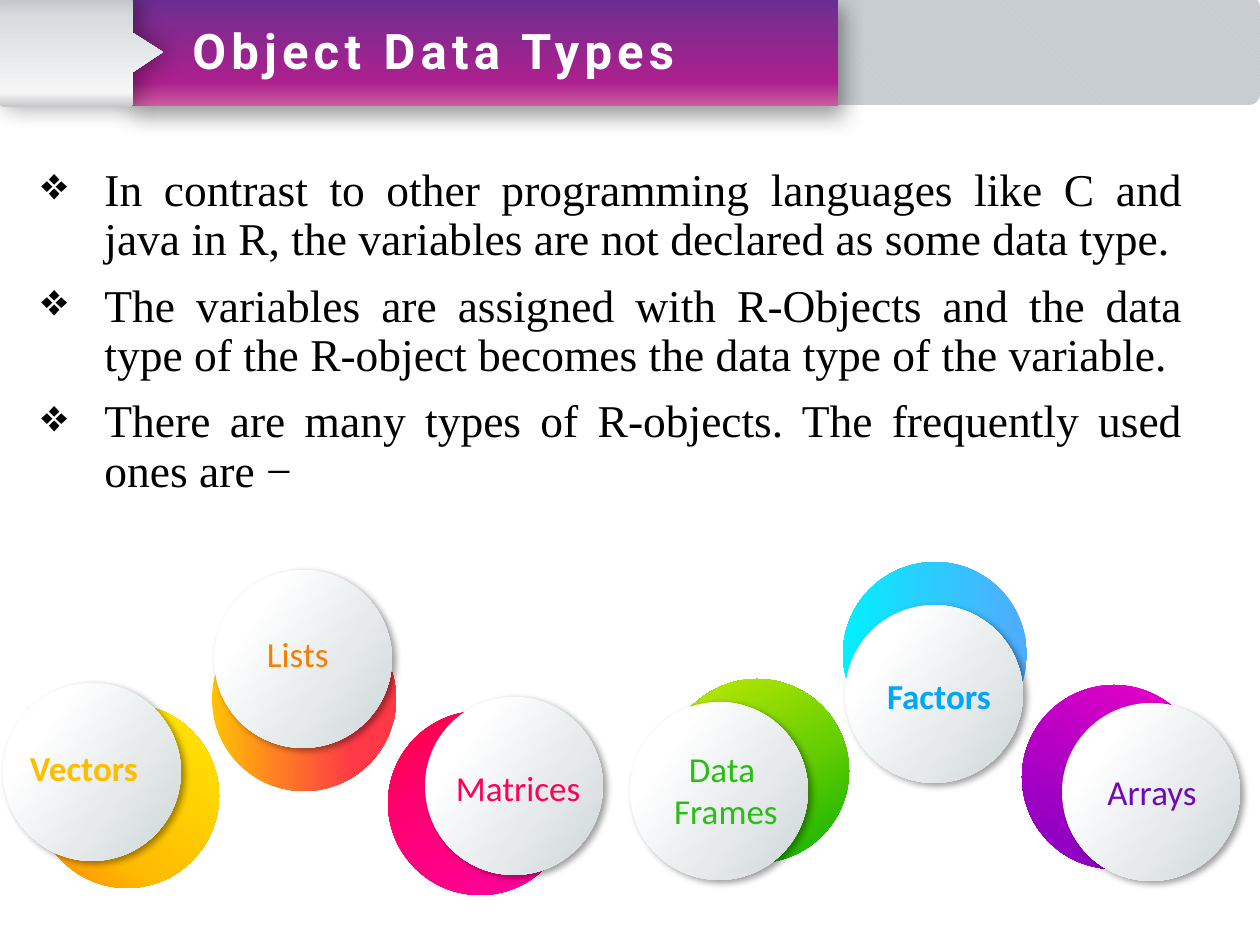
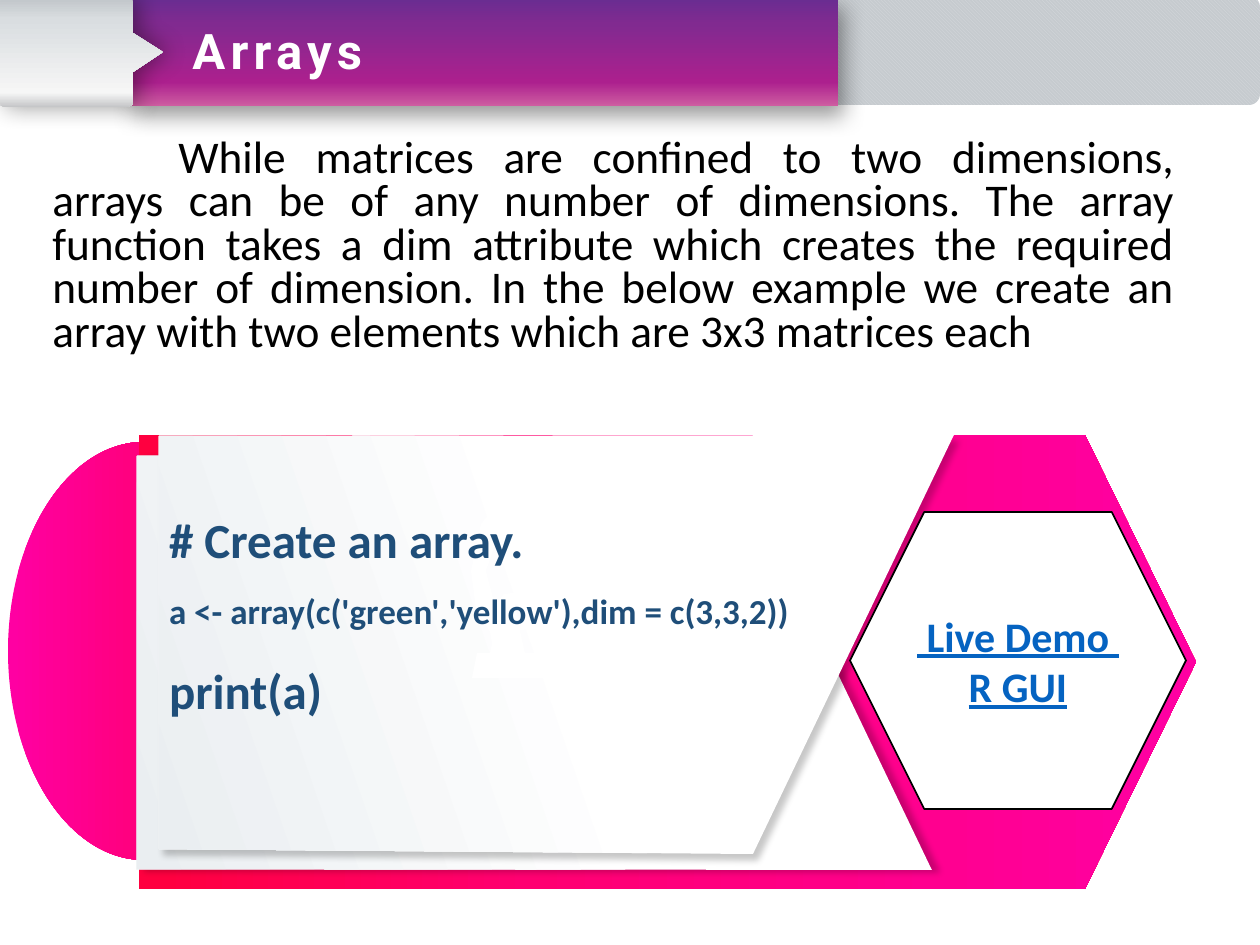
from math import cos, sin, radians

from lxml.etree import SubElement
from pptx import Presentation
from pptx.dml.color import RGBColor
from pptx.enum.dml import MSO_PATTERN
from pptx.enum.shapes import MSO_SHAPE as SHAPE
from pptx.enum.text import MSO_ANCHOR as ANCHOR, PP_ALIGN as ALIGN
from pptx.oxml.ns import qn
from pptx.util import Emu, Pt

SCALE = 914400 / 126
WIDTH, HEIGHT = 1260, 945

COLOURS = {
    "black": "000000", "white": "FFFFFF", "code": "1F4E79", "link": "0563C1",
    "strip_light": "D8DBDE", "strip_dark": "C6CBCF",
    "lists": "F77F00", "matrices": "FF0054", "arrays": "7209B7",
    "factors": "00A6FB", "frames": "29BF12", "vectors": "FFBD00",
}
# Each gradient is a list of (position in percent, colour).
GRADIENTS = {
    "band": [(0, "682D91"), (25, "812A90"), (78, "AC208E"), (100, "CE5DA1")],
    "tab": [(0, "BFC4C8"), (20, "D9DDE0"), (87, "F6F6F6"), (100, "C5C6C8")],
    "ball": [(23, "FFFFFF"), (63, "E6EAEB"), (100, "CDD5D8")],
    "panel": [(0, "FFFFFF"), (48, "FFFFFF"), (100, "EAEEF1")],
    "lists": [(0, "FFC203"), (37, "FF7D25"), (77, "FF3847")],
    "matrices": [(2, "FF0040"), (37, "FF0071"), (99, "FF00A2")],
    "arrays": [(0, "F000C6"), (47, "B800C4"), (100, "8000C2")],
    "factors": [(2, "4FACFE"), (58, "28CFFE"), (100, "00F2FE")],
    "frames": [(0, "0CB100"), (47, "67CE02"), (99, "C3EA03")],
    "vectors": [(2, "FF8A00"), (29, "FFBA02"), (100, "FFEA03")],
    "cap": [(1, "FF00A2"), (63, "FF0071"), (98, "FF0040")],
}

DISC, BALL = 184, 178
# name, lines, bold, align, disc corner, gradient angle, ball corner,
# label box relative to the ball
BUBBLES = [
    ("lists", ["Lists"], False, ALIGN.LEFT, (212, 607), 0, (214, 570), (47, 56, 110, 55)),
    ("matrices", ["Matrices"], False, ALIGN.LEFT, (388, 711), 59, (425, 697), (25, 63, 152, 55)),
    ("arrays", ["Arrays"], False, ALIGN.CENTER, (1022, 685), 118, (1062, 703), (24, 61, 132, 55)),
    ("factors", ["Factors"], True, ALIGN.CENTER, (843, 562), 180, (845, 605), (18, 63, 152, 55)),
    ("frames", ["Data ", "Frames"], False, ALIGN.CENTER, (665, 679), 242, (630, 702),
     (19, 39, 154, 97)),
    ("vectors", ["Vectors"], True, ALIGN.LEFT, (35, 704), 307, (3, 683), (21, 57, 151, 55)),
]

OBJECT_POINTS = [
    "In contrast to other programming languages like C and java in R, "
    "the variables are not declared as some data type. ",
    "The variables are assigned with R-Objects and the data type of the "
    "R-object becomes the data type of the variable. ",
    "There are many types of R-objects. The frequently used ones are −",
]
ARRAY_TEXT = (
    "While matrices are confined to two dimensions, arrays can be of any number "
    "of dimensions. The array function takes a dim attribute which creates the "
    "required number of dimension. In the below example we create an array with "
    "two elements which are 3x3 matrices each"
)
CODE_LINES = [
    ("# Create an array.", 28),
    ("a <- array(c('green','yellow'),dim = c(3,3,2))", 20),
    ("print(a)", 28),
]
PANEL = [(0, 1), (795, 0), (594, 419), (0, 414)]
MICROSCOPE = [
    (40, 0), (25, 8), (31, 34), (29, 42), (26, 50), (10, 70), (0, 117), (5, 155),
    (19, 178), (21, 190), (19, 199), (6, 199), (1, 224), (101, 224), (96, 199),
    (54, 199), (49, 176), (70, 175), (84, 163), (82, 146), (47, 164), (44, 151),
    (88, 129), (86, 116), (42, 139), (33, 140), (24, 151), (15, 117), (29, 77),
    (38, 88), (34, 105), (47, 98), (52, 122), (66, 116), (59, 92), (72, 86),
    (62, 76), (50, 23), (47, 25),
]


def px(length):
    return Emu(round(length * SCALE))


def rgb(name):
    return RGBColor.from_string(COLOURS[name])


def paint(shape, gradient, angle=0):
    """Fill with a gradient whose angle runs clockwise, and drop line and shadow."""
    shape.fill.gradient()
    grad = shape._element.spPr.find(qn("a:gradFill"))
    stops = grad.find(qn("a:gsLst"))
    for stop in list(stops):
        stops.remove(stop)
    for position, colour in GRADIENTS[gradient]:
        stop = SubElement(stops, qn("a:gs"), pos=str(position * 1000))
        SubElement(stop, qn("a:srgbClr"), val=colour)
    grad.find(qn("a:lin")).set("ang", str(angle * 60000))
    shape.line.fill.background()
    shape.shadow.inherit = False


def cast_shadow(shape, alpha, blur, distance, angle):
    effects = shape._element.spPr.find(qn("a:effectLst"))
    shadow = SubElement(effects, qn("a:outerShdw"), blurRad=str(Pt(blur)),
                        dist=str(Pt(distance)), dir=str(angle * 60000),
                        algn="ctr", rotWithShape="0")
    colour = SubElement(shadow, qn("a:srgbClr"), val=COLOURS["black"])
    SubElement(colour, qn("a:alpha"), val=str(alpha * 1000))


def add_preset(page, kind, box):
    return page.shapes.add_shape(kind, *map(px, box))


def add_outline(page, corner, points):
    builder = page.shapes.build_freeform(*points[0], scale=SCALE)
    builder.add_line_segments(points[1:], close=True)
    return builder.convert_to_shape(*map(px, corner))


def write(frame, lines, size, font, colour, bold=False, align=ALIGN.LEFT):
    frame.word_wrap = True
    frame.text = "\n".join(lines)
    for para in frame.paragraphs:
        para.alignment = align
        for span in para.runs:
            span.font.size = Pt(size)
            span.font.name = font
            span.font.bold = bold
            span.font.color.rgb = rgb(colour)


def add_text(page, box, lines, size, font, colour, inset=None, **style):
    frame = page.shapes.add_textbox(*map(px, box)).text_frame
    if inset is not None:
        frame.margin_left = frame.margin_right = px(inset)
        frame.margin_top = frame.margin_bottom = px(inset)
    write(frame, lines, size, font, colour, **style)
    return frame


def space_body(frame, line_spacing, indent, margin=0, bullet=None):
    for para in frame.paragraphs:
        para.line_spacing = line_spacing
        para.space_before = Pt(10)
        props = para._p.get_or_add_pPr()
        props.set("marL", str(px(margin)))
        props.set("indent", str(px(indent)))
        if bullet:
            SubElement(props, qn("a:buChar"), char=bullet)


def rounded_corner(x, y, start, radius=5):
    return [(round(x + radius * cos(radians(turn)), 2), round(y + radius * sin(radians(turn)), 2))
            for turn in range(start, start + 91, 30)]


def add_header(page, title):
    strip = add_preset(page, SHAPE.ROUNDED_RECTANGLE, (0, -4, WIDTH, 109))
    strip.adjustments[0] = 0.1
    strip.fill.patterned()
    strip.fill.pattern = MSO_PATTERN.DARK_DOWNWARD_DIAGONAL
    strip.fill.fore_color.rgb = rgb("strip_light")
    strip.fill.back_color.rgb = rgb("strip_dark")
    strip.line.fill.background()
    strip.shadow.inherit = False

    band = add_preset(page, SHAPE.RECTANGLE, (128, -3, 710, 109))
    paint(band, "band", 90)
    cast_shadow(band, 40, 13, 6, 60)

    right, bottom = 133, 110
    tab = add_outline(page, (0, -3), [
        (163, 55), (right, 75), *rounded_corner(right - 5, bottom - 5, 0),
        *rounded_corner(5, bottom - 5, 90), *rounded_corner(5, 5, 180),
        *rounded_corner(right - 5, 5, 270), (right, 36)])
    paint(tab, "tab", 90)
    cast_shadow(tab, 40, 14, 3, 0)

    frame = add_text(page, (180, 14, 629, 72), [title], 28, "Roboto", "white", bold=True)
    frame.paragraphs[0].runs[0]._r.get_or_add_rPr().set("spc", "300")


def add_bubble(page, name, lines, bold, align, disc_at, angle, ball_at, label):
    disc = add_preset(page, SHAPE.OVAL, (*disc_at, DISC, DISC))
    paint(disc, name, angle)
    ball = add_preset(page, SHAPE.OVAL, (*ball_at, BALL, BALL))
    paint(ball, "ball", 35)
    cast_shadow(ball, 38, 4, 2.8, 39)
    left, top, width, height = label
    add_text(page, (ball_at[0] + left, ball_at[1] + top, width, height), lines,
             20, "Calibri", name, inset=6, bold=bold, align=align)


def add_code_board(page, box):
    left, top, width, height = box
    cap = add_preset(page, SHAPE.OVAL, (left - 131, top + 7, 272, 418))
    paint(cap, "cap")
    shoulder = width - 111
    arrow = add_outline(page, (left, top), [
        (0, 0), (shoulder, 0), (width, height // 2), (shoulder, height), (0, height)])
    paint(arrow, "matrices")

    flipped = [(x, 419 - y) for x, y in PANEL]
    for corner, points, shadow_angle in [((left - 2, top + 16), flipped, 18),
                                         ((left + 20, top), PANEL, 52)]:
        panel = add_outline(page, corner, points)
        paint(panel, "panel", 161)
        cast_shadow(panel, 22, 4, 4.4, shadow_angle)

    microscope = add_outline(page, (left + 332, top + 19), MICROSCOPE)
    microscope.fill.solid()
    microscope.fill.fore_color.rgb = rgb("white")
    microscope.line.fill.background()
    microscope.shadow.inherit = False

    frame = add_text(page, (left + 24, top + 39, 701, 246), [line for line, _ in CODE_LINES],
                     28, "Calibri", "code", inset=6, bold=True)
    for para, (_, size) in zip(frame.paragraphs, CODE_LINES):
        para.line_spacing = 1.5
        para.runs[0].font.size = Pt(size)

    demo = add_preset(page, SHAPE.HEXAGON, (left + 711, top + 77, 336, 297))
    demo.fill.solid()
    demo.fill.fore_color.rgb = rgb("white")
    demo.line.color.rgb = rgb("black")
    demo.line.width = Pt(1)
    demo.shadow.inherit = False
    demo.text_frame.vertical_anchor = ANCHOR.MIDDLE
    write(demo.text_frame, [" Live Demo ", "R GUI"], 24, "Calibri", "link",
          bold=True, align=ALIGN.CENTER)
    for para in demo.text_frame.paragraphs:
        para.runs[0].font.underline = True


def build_object_types(page):
    body = add_text(page, (29, 161, 1167, 404), OBJECT_POINTS, 26, "Times New Roman", "black",
                    align=ALIGN.JUSTIFY)
    space_body(body, 0.9, indent=-63, margin=63, bullet="❖")
    add_header(page, "Object Data Types")
    for bubble in BUBBLES:
        add_bubble(page, *bubble)


def build_arrays(page):
    body = add_text(page, (40, 132, 1147, 234), [ARRAY_TEXT], 25.9, "Calibri", "black",
                    align=ALIGN.JUSTIFY)
    space_body(body, 0.8, indent=126)
    add_header(page, "Arrays")
    add_code_board(page, (139, 435, 1057, 454))


def main():
    deck = Presentation()
    deck.slide_width, deck.slide_height = px(WIDTH), px(HEIGHT)
    for build in (build_object_types, build_arrays):
        build(deck.slides.add_slide(deck.slide_layouts[6]))
    deck.save("out.pptx")


if __name__ == "__main__":
    main()
